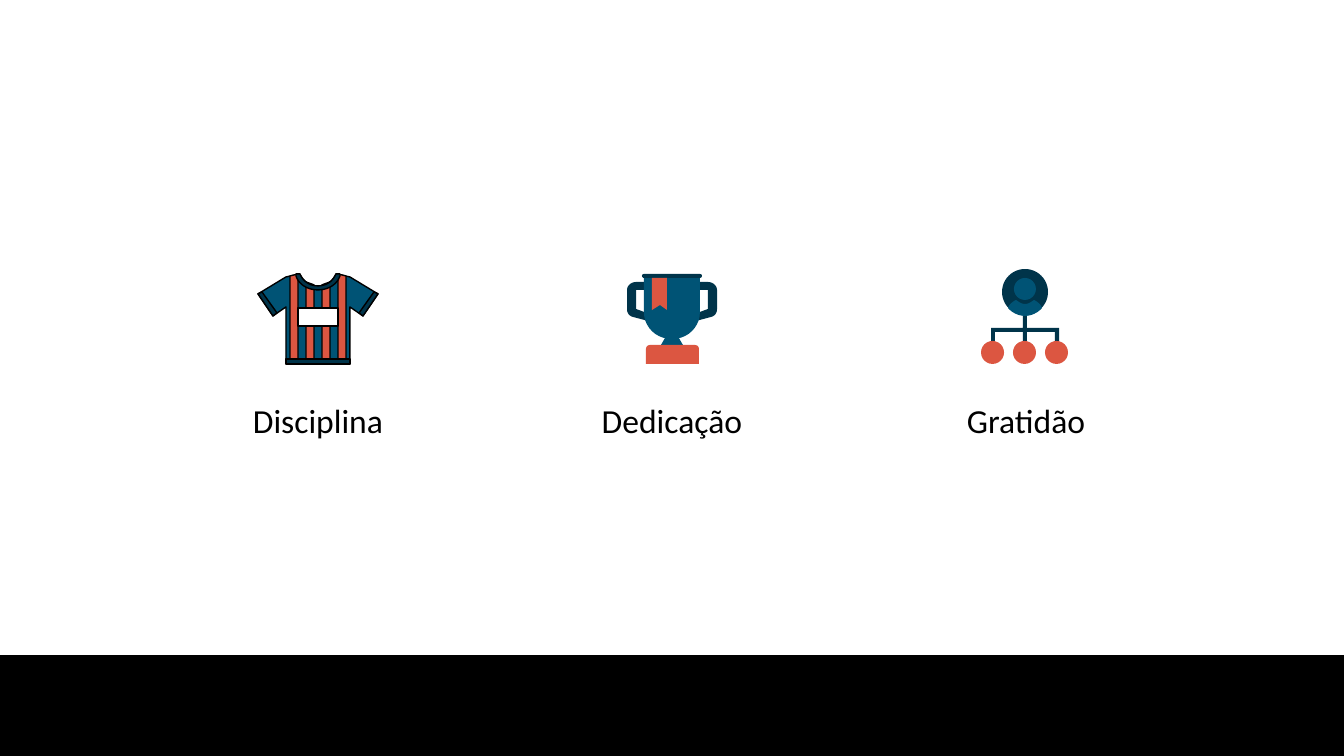
from dataclasses import dataclass
from typing import Optional, Union

from pptx import Presentation
from pptx.dml.color import RGBColor
from pptx.enum.shapes import MSO_SHAPE
from pptx.enum.text import MSO_ANCHOR, PP_ALIGN
from pptx.shapes.autoshape import Shape
from pptx.shapes.shapetree import GroupShapes, SlideShapes
from pptx.util import Emu, Pt

SLIDE_WIDTH, SLIDE_HEIGHT = 1344, 756
EMU_PER_PX = 9144000 / SLIDE_WIDTH
CURVE_STEPS = 10

Point = tuple[float, float]
Points = list[Point]
Box = tuple[int, int, int, int]


@dataclass(frozen=True)
class Theme:
    blue: str = "005375"
    navy: str = "00344A"
    coral: str = "DC5641"
    white: str = "FFFFFF"
    black: str = "000000"
    font: str = "Calibri"
    label_size: int = 18
    shirt_line: float = 0.75
    footer_line: float = 2


@dataclass(frozen=True)
class Outline:
    points: Points
    fill: str


@dataclass(frozen=True)
class Preset:
    kind: MSO_SHAPE
    box: Box
    fill: str
    corner: Optional[float] = None


Piece = Union[Outline, Preset]


@dataclass(frozen=True)
class Value:
    label: str
    pieces: list[Piece]
    line_width: Optional[float] = None


THEME = Theme()


def px(length: float) -> Emu:
    return Emu(round(length * EMU_PER_PX))


def curve(start: Point, pull_1: Point, pull_2: Point, end: Point) -> Points:
    """Points along a cubic Bézier curve."""
    points = []
    for step in range(CURVE_STEPS + 1):
        t = step / CURVE_STEPS
        weights = ((1 - t) ** 3, 3 * t * (1 - t) ** 2, 3 * t**2 * (1 - t), t**3)
        points.append(tuple(
            sum(w * p[i] for w, p in zip(weights, (start, pull_1, pull_2, end)))
            for i in (0, 1)
        ))
    return points


def mirror(points: Points, axis: int) -> Points:
    return [(2 * axis - x, y) for x, y in points]


def symmetric(half: Points, axis: int) -> Points:
    """The left half followed by its reflection, back to the start side."""
    return half + mirror(half, axis)[::-1]


def mirrored_pair(points: Points, axis: int, fill: str) -> list[Outline]:
    return [Outline(points, fill), Outline(mirror(points, axis), fill)]


def shirt(axis: int) -> list[Piece]:
    neck = curve((300, 274), (303, 281), (309, 286), (axis, 286))
    collar = [(296, 274)] + curve((296, 276), (299, 285), (308, 290), (axis, 290))
    body = [(286, 364), (286, 307), (273, 316), (258, 294), (286, 277)] + neck
    outer_stripe = [(298, 274), (290, 276), (290, 364), (298, 364)]
    inner_stripe = [(306, 282), (306, 364), (314, 364), (314, 285)]
    cuff = [(262, 292), (258, 294), (273, 316), (277, 313)]
    return [
        Outline(symmetric(body, axis), THEME.blue),
        *mirrored_pair(outer_stripe, axis, THEME.coral),
        *mirrored_pair(inner_stripe, axis, THEME.coral),
        Outline(symmetric(collar, axis) + symmetric(neck, axis)[::-1], THEME.navy),
        *mirrored_pair(cuff, axis, THEME.navy),
        Preset(MSO_SHAPE.RECTANGLE, (286, 359, 64, 5), THEME.navy),
        Preset(MSO_SHAPE.RECTANGLE, (298, 308, 40, 18), THEME.white),
    ]


def trophy(axis: int) -> list[Piece]:
    handle = [
        (646, 282), (646, 290), (636, 290), (636, 309), (644, 312),
        *curve((646, 313), (646, 316), (647, 319), (648, 321)),
        *curve((633, 317), (629, 316), (627, 313), (627, 309)),
        *curve((627, 290), (627, 286), (631, 282), (636, 282)),
    ]
    cup = [(644, 278)] + curve((644, 312), (644, 327), (656, 339), (axis, 339))
    ribbon = [(652, 278), (652, 310), (660, 305), (667, 310), (667, 278)]
    return [
        *mirrored_pair(handle, axis, THEME.navy),
        Outline(symmetric([(669, 331), (661, 345)], axis), THEME.blue),
        Outline(symmetric(cup, axis), THEME.blue),
        Preset(MSO_SHAPE.ROUNDED_RECTANGLE, (642, 274, 60, 4), THEME.navy, 0.5),
        Preset(MSO_SHAPE.ROUND_2_SAME_RECTANGLE, (646, 345, 53, 19), THEME.coral, 0.2),
        Outline(ribbon, THEME.coral),
    ]


def team(axis: int) -> list[Piece]:
    branches = [(1023, 314), (1023, 328), (991, 328), (991, 342),
                (995, 342), (995, 332), (1023, 332), (1023, 342)]
    shoulders = (curve((1008, 308), (1009, 305), (1012, 302), (1016, 300))
                 + curve((1016, 300), (1019, 302), (1021, 304), (axis, 304)))
    chest = curve((1008, 308), (1012, 313), (1019, 316), (axis, 316))
    return [
        Outline(symmetric(branches, axis), THEME.navy),
        Preset(MSO_SHAPE.OVAL, (axis - 23, 269, 46, 46), THEME.navy),
        Preset(MSO_SHAPE.OVAL, (axis - 11, 278, 22, 22), THEME.blue),
        *(Preset(MSO_SHAPE.OVAL, (981 + 32 * member, 341, 23, 23), THEME.coral)
          for member in range(3)),
        Outline(symmetric(shoulders, axis) + symmetric(chest, axis)[::-1], THEME.blue),
    ]


def paint(drawn: Shape, fill: str, line_width: Optional[float]) -> None:
    drawn.shadow.inherit = False
    drawn.fill.solid()
    drawn.fill.fore_color.rgb = RGBColor.from_string(fill)
    if line_width is None:
        drawn.line.fill.background()
    else:
        drawn.line.color.rgb = RGBColor.from_string(THEME.black)
        drawn.line.width = Pt(line_width)


def draw_piece(shapes: Union[GroupShapes, SlideShapes], piece: Piece,
               line_width: Optional[float]) -> None:
    if isinstance(piece, Outline):
        start, *rest = [(px(x), px(y)) for x, y in piece.points]
        builder = shapes.build_freeform(*start)
        builder.add_line_segments(rest, close=True)
        drawn = builder.convert_to_shape()
    else:
        drawn = shapes.add_shape(piece.kind, *map(px, piece.box))
        if piece.corner is not None:
            drawn.adjustments[0] = piece.corner
    paint(drawn, piece.fill, line_width)


def draw_label(shapes: SlideShapes, label: str, box: Box) -> None:
    frame = shapes.add_textbox(*map(px, box)).text_frame
    paragraph = frame.paragraphs[0]
    run = paragraph.add_run()
    formats = (
        (frame, {"word_wrap": True, "vertical_anchor": MSO_ANCHOR.MIDDLE}),
        (paragraph, {"alignment": PP_ALIGN.CENTER}),
        (run, {"text": label}),
        (run.font, {"name": THEME.font, "size": Pt(THEME.label_size)}),
        (run.font.color, {"rgb": RGBColor.from_string(THEME.black)}),
    )
    for target, values in formats:
        for attribute, value in values.items():
            setattr(target, attribute, value)


def main() -> None:
    presentation = Presentation()
    presentation.slide_width = px(SLIDE_WIDTH)
    presentation.slide_height = px(SLIDE_HEIGHT)
    shapes = presentation.slides.add_slide(presentation.slide_layouts[6]).shapes
    values = [
        Value("Disciplina", shirt(318), THEME.shirt_line),
        Value("Dedicação", trophy(672)),
        Value("Gratidão", team(1025)),
    ]
    for column, value in enumerate(values):
        draw_label(shapes, value.label, (176 + 354 * column, 391, 284, 58))
        icon = shapes.add_group_shape().shapes
        for piece in value.pieces:
            draw_piece(icon, piece, value.line_width)
    footer = Preset(MSO_SHAPE.RECTANGLE, (-13, 657, 1383, 110), THEME.black)
    draw_piece(shapes, footer, THEME.footer_line)
    presentation.save("out.pptx")


if __name__ == "__main__":
    main()
